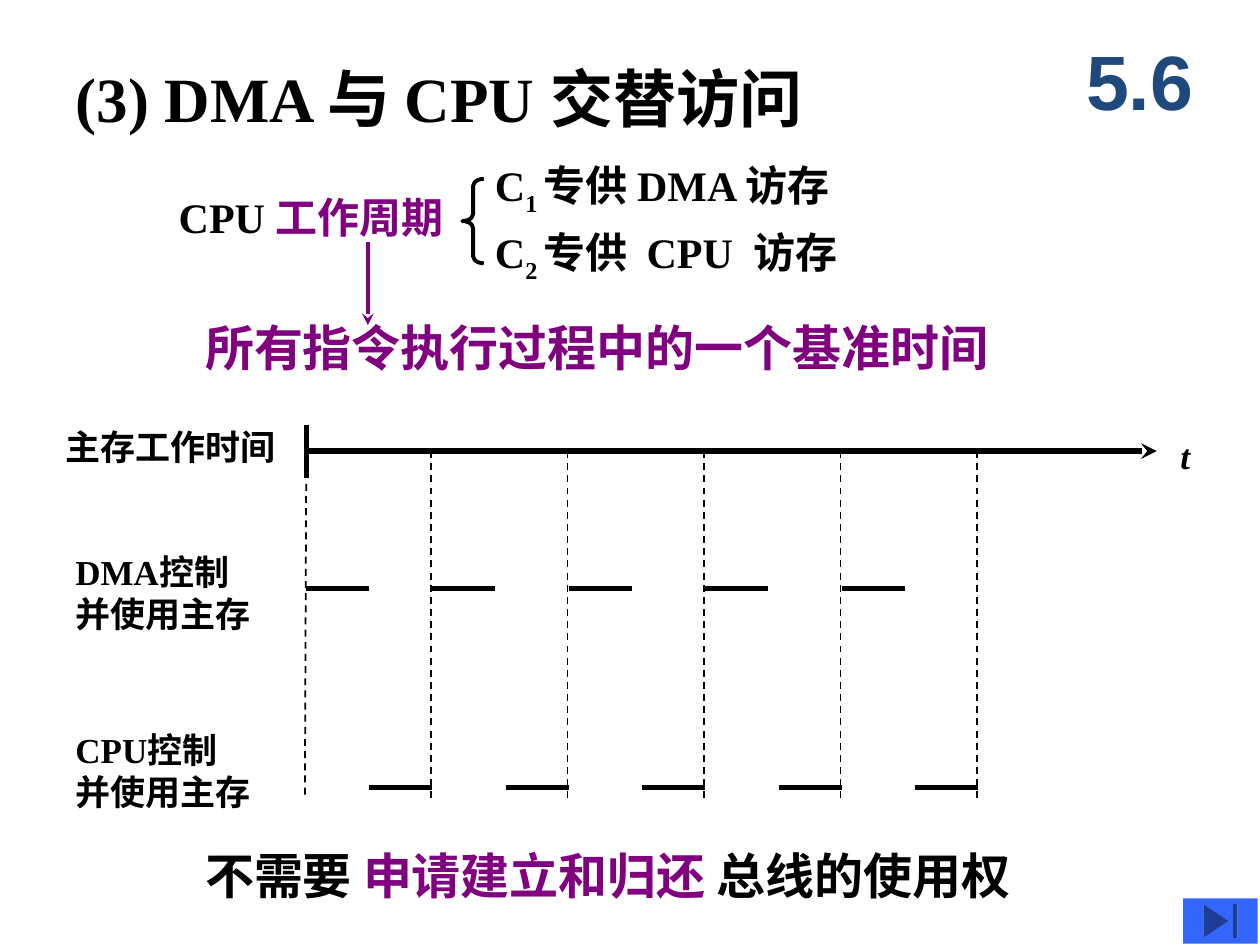
from dataclasses import dataclass

from lxml import etree
from pptx import Presentation
from pptx.dml.color import RGBColor
from pptx.enum.dml import MSO_LINE
from pptx.enum.shapes import MSO_CONNECTOR, MSO_SHAPE
from pptx.enum.text import MSO_ANCHOR, MSO_AUTO_SIZE, PP_ALIGN
from pptx.oxml.ns import qn
from pptx.util import Inches, Pt

STRAIGHT = MSO_CONNECTOR.STRAIGHT
LEFT_BRACE = MSO_SHAPE.LEFT_BRACE
END_BUTTON = MSO_SHAPE.ACTION_BUTTON_END
DASH = MSO_LINE.DASH
TOP, MIDDLE = MSO_ANCHOR.TOP, MSO_ANCHOR.MIDDLE
LEFT, CENTER = PP_ALIGN.LEFT, PP_ALIGN.CENTER
GROW, FIXED = MSO_AUTO_SIZE.SHAPE_TO_FIT_TEXT, MSO_AUTO_SIZE.NONE
TITLE_ONLY = 5


@dataclass(frozen=True)
class Theme:
    body_font: str = "Times New Roman"
    number_font: str = "Arial"
    ink: RGBColor = RGBColor(0x00, 0x00, 0x00)
    accent: RGBColor = RGBColor(0x80, 0x00, 0x80)
    number: RGBColor = RGBColor(0x1F, 0x49, 0x7D)
    button: RGBColor = RGBColor(0x33, 0x66, 0xFF)
    number_size: int = 44
    title_size: int = 36
    statement_size: int = 28
    text_size: int = 24
    label_size: int = 20
    heavy: float = 3
    medium: float = 2.25
    thin: float = 1


@dataclass
class SlideBuilder:
    theme: Theme
    slide: object

    def fill_text(self, frame, lines, size, color=None, font=None, align=LEFT):
        """Fill a frame; a line is a string or a list of (text, color, baseline)."""
        for index, line in enumerate(lines):
            paragraph = frame.paragraphs[0] if index == 0 else frame.add_paragraph()
            paragraph.alignment = align
            paragraph.font.name = font or self.theme.body_font
            paragraph.font.size = Pt(size)
            paragraph.font.bold = True
            paragraph.font.color.rgb = color or self.theme.ink
            pieces = [(line, None, 0)] if isinstance(line, str) else line
            for text, run_color, baseline in pieces:
                run = paragraph.add_run()
                run.text = text
                if run_color is not None:
                    run.font.color.rgb = run_color
                if baseline:
                    run._r.get_or_add_rPr().set("baseline", str(baseline * 1000))

    def title(self, text, left, top, width, height):
        shape = self.slide.shapes.title
        shape.left, shape.top = Inches(left), Inches(top)
        shape.width, shape.height = Inches(width), Inches(height)
        frame = shape.text_frame
        frame.auto_size = GROW
        frame.word_wrap = True
        frame.vertical_anchor = TOP
        self.fill_text(frame, [text], self.theme.title_size)

    def text(self, lines, left, top, width, height, size, wrap=True,
             auto_size=GROW, anchor=TOP, **style):
        box = self.slide.shapes.add_textbox(
            Inches(left), Inches(top), Inches(width), Inches(height))
        frame = box.text_frame
        frame.word_wrap = wrap
        frame.auto_size = auto_size
        frame.vertical_anchor = anchor
        self.fill_text(frame, lines, size, **style)
        return box

    def line(self, x1, y1, x2, y2, width, color=None, dash=None, arrow=False):
        connector = self.slide.shapes.add_connector(
            STRAIGHT, Inches(x1), Inches(y1), Inches(x2), Inches(y2))
        connector.line.color.rgb = color or self.theme.ink
        connector.line.width = Pt(width)
        if dash is not None:
            connector.line.dash_style = dash
        if arrow:
            line = connector.line._get_or_add_ln()
            etree.SubElement(line, qn("a:tailEnd"), type="stealth")
        etree.SubElement(connector._element.spPr, qn("a:effectLst"))

    def shape(self, kind, left, top, width, height, fill=None, outline=None):
        shape = self.slide.shapes.add_shape(
            kind, Inches(left), Inches(top), Inches(width), Inches(height))
        shape.shadow.inherit = False
        if fill is None:
            shape.fill.background()
        else:
            shape.fill.solid()
            shape.fill.fore_color.rgb = fill
        if outline is None:
            shape.line.fill.background()
        else:
            shape.line.color.rgb = outline
            shape.line.width = Pt(self.theme.medium)
        return shape


def add_heading(builder):
    theme = builder.theme
    builder.title("(3) DMA 与 CPU 交替访问", 0.5, 0.42, 6.92, 0.7)
    builder.text(["5.6"], 8.42, 0.17, 1.25, 0.92, theme.number_size,
                 auto_size=FIXED, anchor=MIDDLE, color=theme.number,
                 font=theme.number_font, align=CENTER)


def add_timing_diagram(builder):
    theme = builder.theme
    origin, axis_y = 2.43, 3.58
    period, pulse, count = 13 / 12, 0.5, 5
    dma_y, cpu_y = 4.67, 6.25

    # Row labels and axis name
    for lines, left, top, width, height in (
        (["主存工作时间"], 0.42, 3.33, 1.88, 0.43),
        (["DMA控制", "并使用主存"], 0.5, 4.32, 1.6, 0.77),
        (["CPU控制", "并使用主存"], 0.5, 5.73, 1.6, 0.77),
    ):
        builder.text(lines, left, top, width, height, theme.label_size, wrap=False)
    axis_name = builder.text(["t"], 9.27, 3.4, 0.28, 0.43, theme.label_size, wrap=False)
    axis_name.text_frame.paragraphs[0].font.italic = True

    # Time axis with its start mark
    builder.line(origin, 3.37, origin, 3.79, theme.heavy)
    builder.line(origin, axis_y, 9.18, axis_y, theme.heavy, arrow=True)
    builder.line(origin, 3.84, 2.42, 6.32, theme.thin, dash=DASH)

    # Alternating pulses and period boundaries
    dma_starts = [origin] + [3.43 + period * i for i in range(count - 1)]
    for index, dma_x in enumerate(dma_starts):
        cpu_x = origin + pulse + period * index
        boundary = 3.42 + period * index
        builder.line(dma_x, dma_y, dma_x + pulse, dma_y, theme.heavy)
        builder.line(cpu_x, cpu_y, cpu_x + pulse, cpu_y, theme.heavy)
        builder.line(boundary, axis_y, boundary, 6.34, theme.thin, dash=DASH)


def add_work_cycle(builder):
    theme = builder.theme
    builder.text([[("CPU ", None, 0), ("工作周期", theme.accent, 0)]],
                 1.32, 1.47, 2.52, 0.5, theme.text_size)

    # The two halves of the cycle
    for number, use, top in (("1 ", "专供 DMA 访存", 1.22),
                             ("2 ", "专供  CPU  访存", 1.75)):
        builder.text([[("C", None, 0), (number, None, -25), (use, None, 0)]],
                     3.83, top, 4.42, 0.5, theme.text_size)
    brace = builder.shape(LEFT_BRACE, 3.67, 1.42, 0.17, 0.67, outline=theme.ink)
    brace.adjustments[0] = 0.33

    # Meaning of the cycle
    builder.text(["所有指令执行过程中的一个基准时间"], 1.53, 2.47, 7.6, 0.57,
                 theme.statement_size, color=theme.accent)
    builder.line(2.92, 1.92, 2.92, 2.58, theme.medium, theme.accent, arrow=True)


def add_conclusion(builder):
    theme = builder.theme
    builder.text([[("不需要 ", None, 0), ("申请建立和归还 ", theme.accent, 0),
                   ("总线的使用权", None, 0)]],
                 1.53, 6.66, 8.03, 0.57, theme.statement_size)
    builder.shape(END_BUTTON, 9.39, 7.13, 0.59, 0.36, fill=theme.button)


def main():
    presentation = Presentation()
    presentation.slide_width, presentation.slide_height = Inches(10), Inches(7.5)
    slide = presentation.slides.add_slide(presentation.slide_layouts[TITLE_ONLY])
    builder = SlideBuilder(Theme(), slide)
    add_heading(builder)
    add_timing_diagram(builder)
    add_work_cycle(builder)
    add_conclusion(builder)
    presentation.save("out.pptx")


if __name__ == "__main__":
    main()
